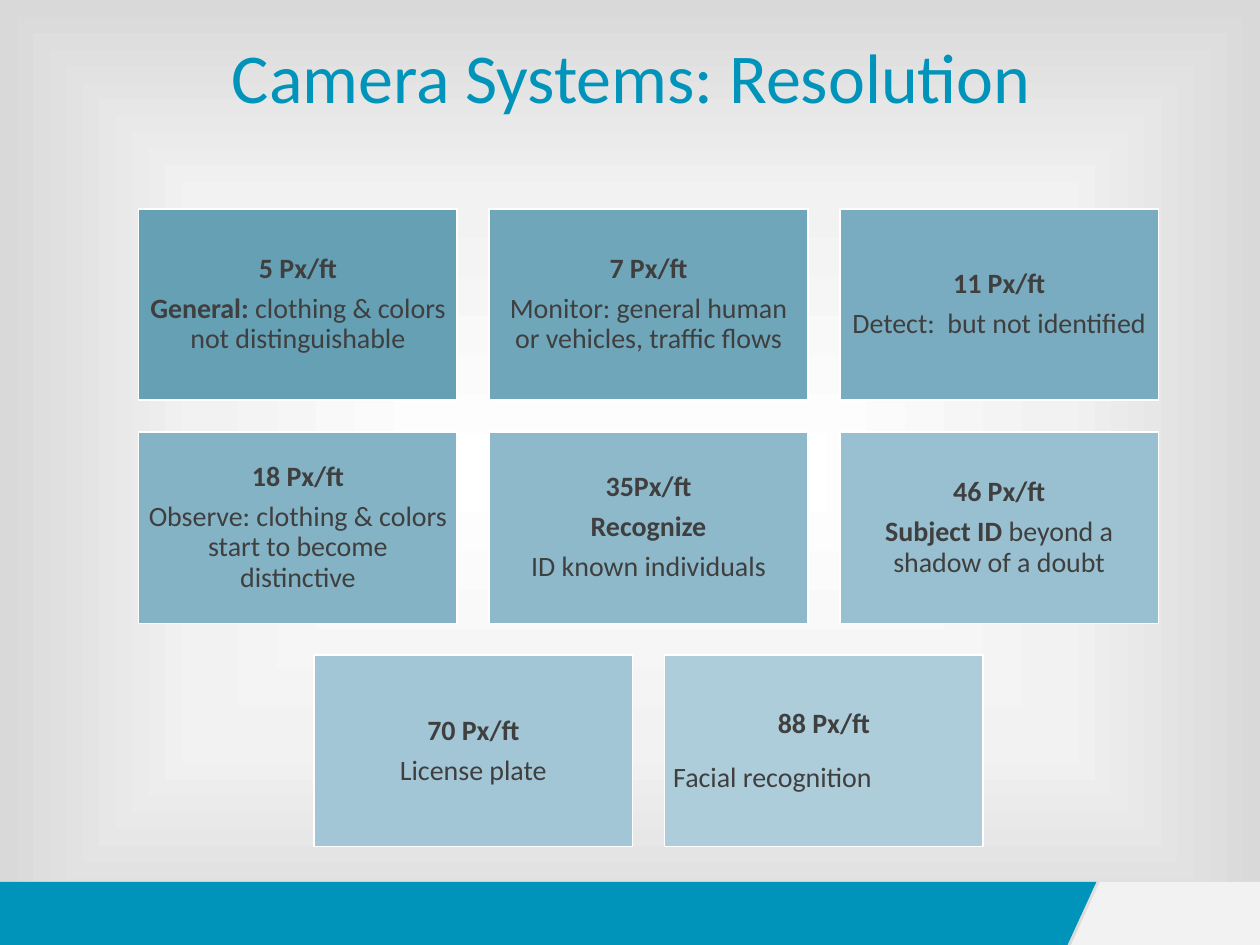
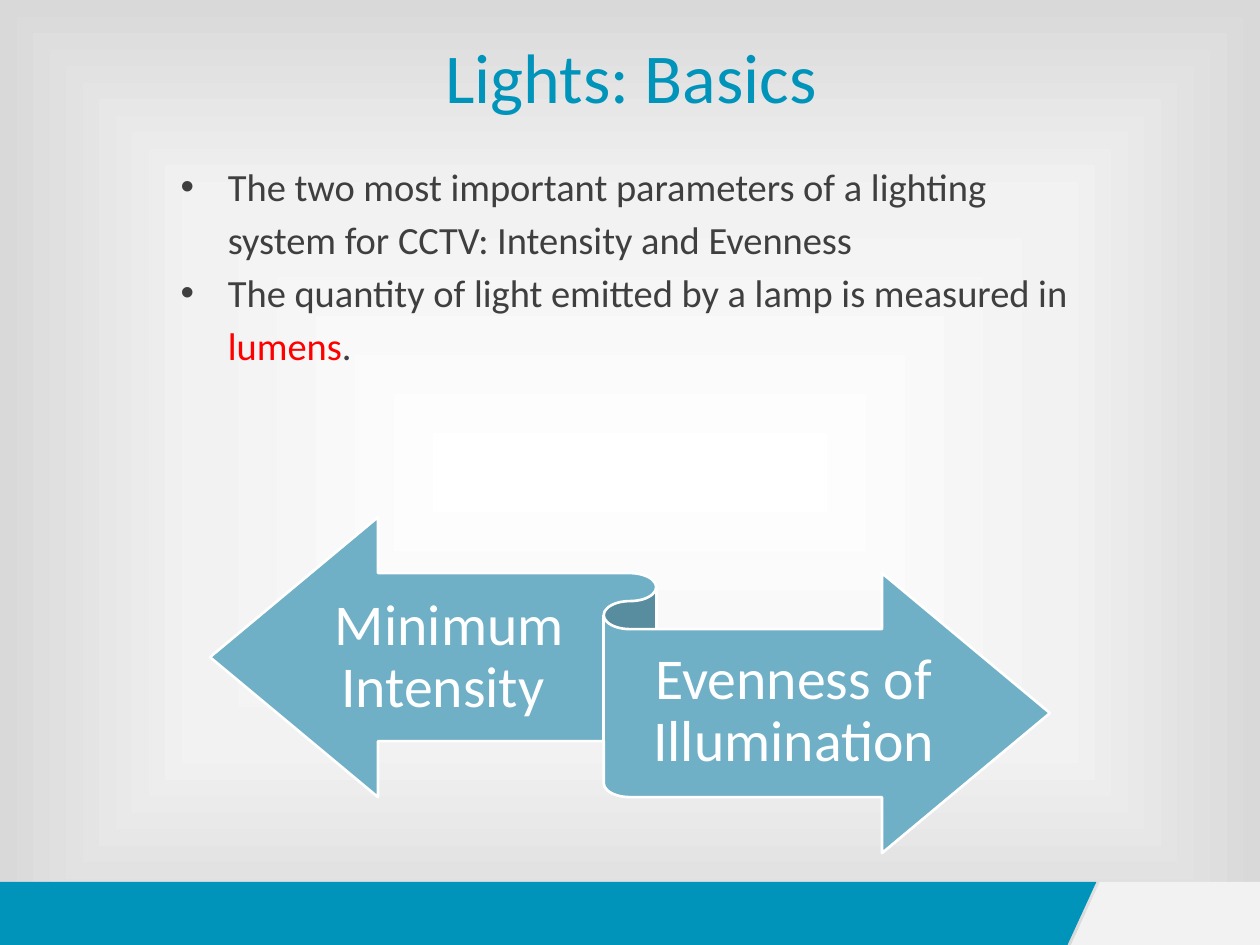
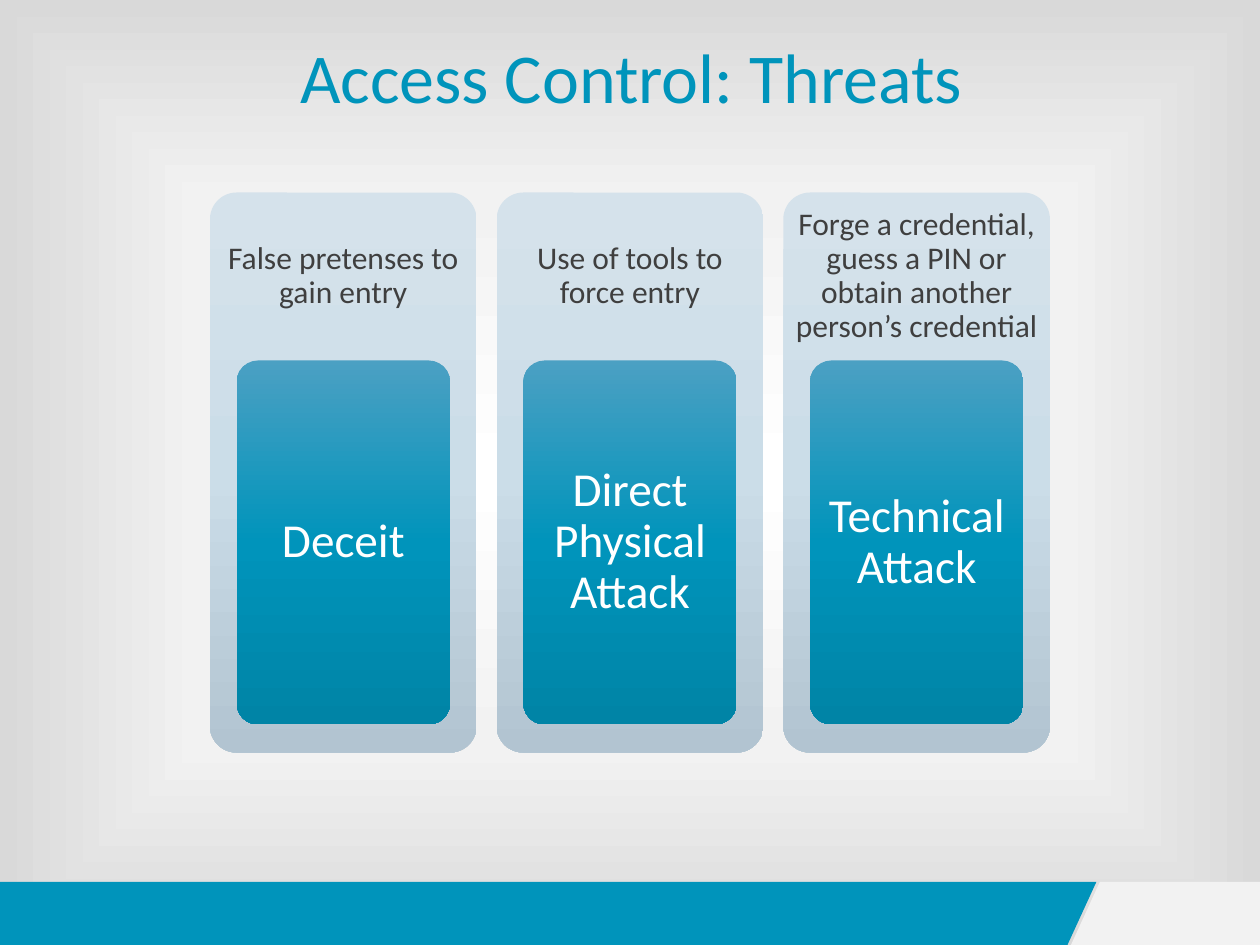
from lxml.etree import SubElement
from pptx import Presentation
from pptx.dml.color import RGBColor
from pptx.enum.shapes import MSO_SHAPE
from pptx.enum.text import MSO_ANCHOR, MSO_AUTO_SIZE, PP_ALIGN
from pptx.oxml.ns import qn
from pptx.util import Pt

FONT = "Calibri"
BLUE, DARK, WHITE, PALE, RED = "0094BB", "3F3F3F", "FFFFFF", "F2F2F2", "FF0000"
SKY = "6FB0C7"
GLOW = [(0, WHITE), (58, PALE), (100, "D9D9D9")]
CARD = [(0, "D5E2EB"), (50, "CBDDE8"), (100, "B2C4D1")]
PANEL = [(0, "4BA0C3"), (50, BLUE), (100, "0084A6")]

# Each tile: fill, then lines of (bold part, plain part)
TILES = [
    ("65A0B5", [("5 Px/ft", ""), ("General:", " clothing & colors not distinguishable")]),
    ("6FA6BA", [("7 Px/ft", ""), ("", "Monitor: general human or vehicles, traffic flows")]),
    ("79ACC0", [("11 Px/ft", ""), ("", "Detect:  but not identified")]),
    ("83B3C5", [("18 Px/ft", ""), ("", "Observe: clothing & colors start to become distinctive")]),
    ("8DB9CB", [("35Px/ft", ""), ("Recognize", ""), ("", "ID known individuals")]),
    ("98C0D0", [("46 Px/ft", ""), ("Subject ID ", "beyond a shadow of a doubt")]),
    ("A2C6D5", [("70 Px/ft", ""), ("", "License plate")]),
    ("ADCDDA", [("88 Px/ft", ""), ("", "Facial recognition")]),
]
THREATS = [
    ("Deceit", "False pretenses to gain entry"),
    ("Direct Physical Attack", "Use of tools to force entry"),
    ("Technical Attack",
     "Forge a credential, guess a PIN or obtain another person’s credential"),
]


def rgb(code):
    return RGBColor.from_string(code)


def points(*sizes):
    return [Pt(size) for size in sizes]


def paint(shape, color, edge=None, width=1):
    shape.shadow.inherit = False
    if color:
        shape.fill.solid()
        shape.fill.fore_color.rgb = rgb(color)
    if edge:
        shape.line.color.rgb = rgb(edge)
        shape.line.width = Pt(width)
    else:
        shape.line.fill.background()


def blend(fill, root, stops, center=False):
    """Fill with colour stops, downward or outward from the centre."""
    fill.gradient()
    grad = next(root.iter(qn("a:gradFill")))
    for child in list(grad):
        grad.remove(child)
    group = SubElement(grad, qn("a:gsLst"))
    for place, color in stops:
        stop = SubElement(group, qn("a:gs"), pos=str(place * 1000))
        SubElement(stop, qn("a:srgbClr"), val=color)
    if center:
        shade = SubElement(grad, qn("a:path"))
        shade.set("path", "rect")
        SubElement(shade, qn("a:fillToRect"), l="50000", t="50000", r="50000", b="50000")
    else:
        SubElement(grad, qn("a:lin"), ang="5400000", scaled="0")


def style(para, size, color, align=PP_ALIGN.CENTER):
    para.alignment = align
    font = para.font
    font.name, font.size, font.color.rgb = FONT, Pt(size), rgb(color)


def write(shape, lines, size, color, side=5, top=5, foot=5):
    """Write centred lines of (bold part, plain part) into a shape."""
    frame = shape.text_frame
    frame.word_wrap = True
    frame.vertical_anchor = MSO_ANCHOR.MIDDLE
    frame.margin_left = frame.margin_right = Pt(side)
    frame.margin_top, frame.margin_bottom = points(top, foot)
    for index, parts in enumerate(lines):
        para = frame.paragraphs[0] if index == 0 else frame.add_paragraph()
        para.line_spacing = 0.9
        para.space_after = Pt(0.35 * size)
        style(para, size, color)
        for text, bold in zip(parts, (True, False)):
            if text:
                run = para.add_run()
                run.text, run.font.bold = text, bold


def place(shape, x, y, w, h):
    shape.left, shape.top, shape.width, shape.height = points(x, y, w, h)
    frame = shape.text_frame
    frame.auto_size = MSO_AUTO_SIZE.NONE
    frame.vertical_anchor = MSO_ANCHOR.TOP
    return frame


def start(deck, title, layout=5):
    slide = deck.slides.add_slide(deck.slide_layouts[layout])
    frame = place(slide.shapes.title, 54.7, 15.6, 612, 62.6)
    frame.text = title
    style(frame.paragraphs[0], 40, BLUE)
    return slide


def brand(master, slide):
    """Give the master its background and foot bands, outlined on a slide."""
    blend(master.background.fill, master.element, GLOW, center=True)
    bands = [
        (BLUE, [(0, 504), (626.5, 504), (610, 540), (0, 540)]),
        (PALE, [(628.5, 504), (720, 504), (720, 540), (612, 540)]),
    ]
    for index, (color, dots) in enumerate(bands):
        pen = slide.shapes.build_freeform(*points(*dots[0]))
        pen.add_line_segments([points(*dot) for dot in dots[1:]])
        band = pen.convert_to_shape()
        paint(band, color)
        node = band._element
        node.nvSpPr.cNvPr.set("id", str(20 + index))
        master.element.cSld.spTree.insert(2 + index, node)


def tile_grid(slide, x, y, width, cols=3):
    w = width / (cols + 0.1 * (cols - 1))
    h, gap = 0.6 * w, 0.1 * w
    for index, (color, lines) in enumerate(TILES):
        row, col = divmod(index, cols)
        count = min(cols, len(TILES) - row * cols)
        left = x + (cols - count) * (w + gap) / 2 + col * (w + gap)
        tile = slide.shapes.add_shape(
            MSO_SHAPE.RECTANGLE, *points(left, y + row * (h + gap), w, h))
        paint(tile, color, WHITE)
        write(tile, lines, 16, DARK)
    last = tile.text_frame.paragraphs[-1]
    last.alignment = PP_ALIGN.LEFT
    last.space_before = Pt(8)


def bullets(slide, x, y, w, h):
    frame = place(slide.placeholders[1], x, y, w, h)
    items = [
        [("The two most important parameters of a lighting system for CCTV: "
          "Intensity and Evenness", DARK)],
        [("The quantity of light emitted by a lamp is measured in ", DARK),
         ("lumens", RED), (".", DARK)],
    ]
    for index, parts in enumerate(items):
        para = frame.paragraphs[0] if index == 0 else frame.add_paragraph()
        props = para._p.get_or_add_pPr()
        props.set("marL", str(Pt(27)))
        props.set("indent", str(-Pt(27)))
        SubElement(props, qn("a:buFont"), typeface="Arial")
        SubElement(props, qn("a:buChar"), char="•")
        para.line_spacing = 1.15
        para.space_before = Pt(0)
        style(para, 22, DARK, PP_ALIGN.LEFT)
        for text, color in parts:
            run = para.add_run()
            run.text = text
            if color != DARK:
                run.font.color.rgb = rgb(color)


def ribbon(slide, x, y, w):
    h = 0.4 * w
    arrow = slide.shapes.add_shape(MSO_SHAPE.LEFT_RIGHT_RIBBON, *points(x, y, w, h))
    paint(arrow, SKY, WHITE, 1.5)
    labels = [
        ("Minimum Intensity ", 0.12, 0.175, 0.33),
        ("Evenness of Illumination", 0.5, 0.335, 0.39),
    ]
    for text, left, top, wide in labels:
        label = slide.shapes.add_textbox(
            *points(x + left * w, y + top * h, wide * w, 0.49 * h))
        write(label, [("", text)], 33, WHITE, side=0, top=9.4, foot=10)


def cards(slide, x, y, width, h):
    count = len(THREATS)
    w = width / (count + 0.075 * (count - 1))
    for index, (name, detail) in enumerate(THREATS):
        left = x + index * 1.075 * w
        boxes = [
            (CARD, (left, y, w, h)),
            (PANEL, (left + 0.1 * w, y + 0.3 * h, 0.8 * w, 0.65 * h)),
        ]
        for stops, box in boxes:
            panel = slide.shapes.add_shape(MSO_SHAPE.ROUNDED_RECTANGLE, *points(*box))
            panel.adjustments[0] = 0.1
            paint(panel, None)
            blend(panel.fill, panel._element, stops)
        write(panel, [("", name)], 27, WHITE, top=4.3, foot=4.3)
        note = slide.shapes.add_textbox(*points(left, y, w, 0.3 * h))
        write(note, [("", detail)], 18, DARK)


def main():
    deck = Presentation()
    deck.slide_width, deck.slide_height = points(720, 540)

    slide = start(deck, "Camera Systems: Resolution")
    brand(deck.slide_master, slide)
    tile_grid(slide, 79.2, 119.5, 582.8)

    slide = start(deck, "Lights: Basics", layout=1)
    bullets(slide, 96, 85.7, 528, 157.7)
    ribbon(slide, 120, 295.5, 480)

    slide = start(deck, "Access Control: Threats")
    cards(slide, 120, 110, 480, 320)

    deck.save("out.pptx")


if __name__ == "__main__":
    main()
